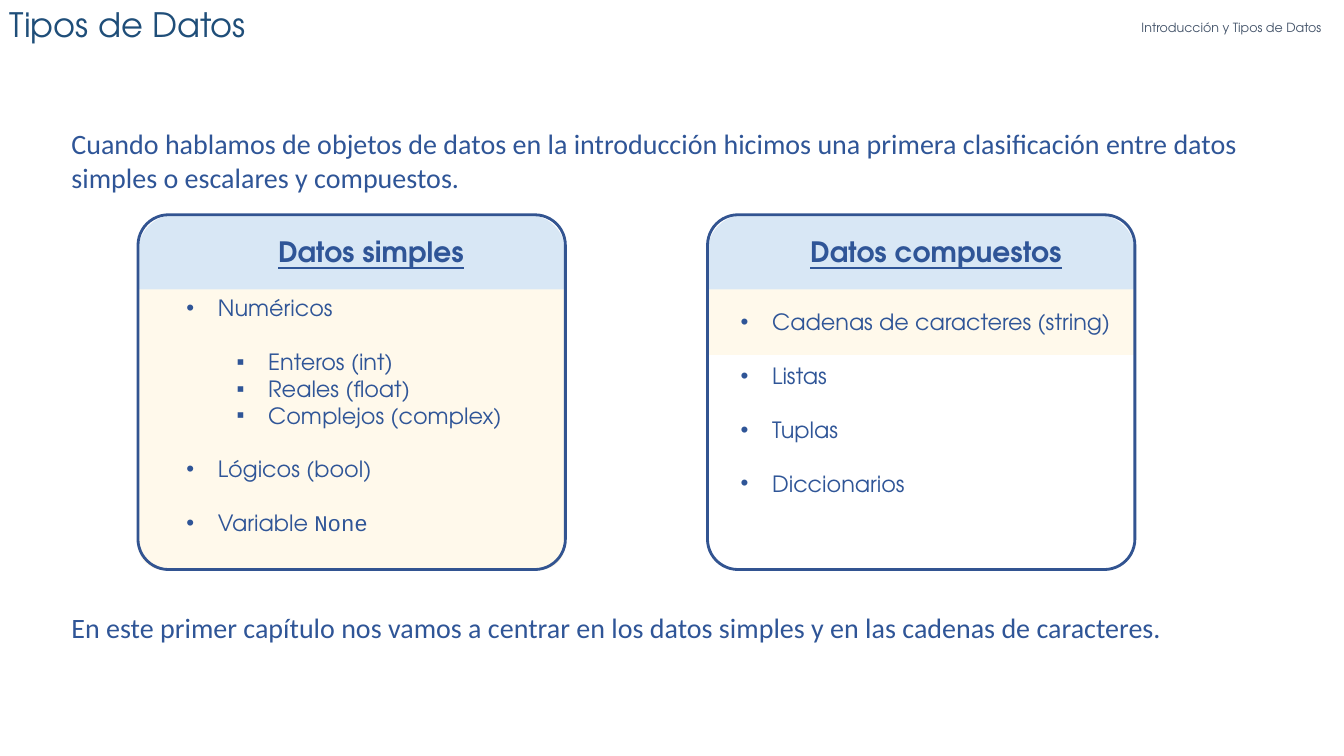
from lxml import etree
from pptx import Presentation
from pptx import util as u
from pptx.dml.color import RGBColor
from pptx.enum import shapes, text
from pptx.oxml.ns import qn

Pt = u.Pt
SANS, BODY, CODE = "TeX Gyre Adventor", "Calibri", "Courier New"
BLUE = "2F5597"
GAP = 19.2  # one empty line at 16 pt


def rgb(value):
    return RGBColor.from_string(value)


def style(r, size, font, color, bold=False, underline=False):
    r.font.size, r.font.name = Pt(size), font
    r.font.color.rgb = rgb(color)
    if bold:
        r.font.bold = True
    if underline:
        r.font.underline = True


def add_text(slide, box, wrap=True):
    sp = slide.shapes.add_textbox(*map(Pt, box))
    tf = sp.text_frame
    tf.word_wrap = wrap
    return tf


def add_line(slide, box, words, size, font, color, wrap=True, **marks):
    p = add_text(slide, box, wrap).paragraphs[0]
    p.text = words
    style(p.runs[0], size, font, color, **marks)
    return p


def add_panel(slide, box, color, top_round, bottom_round):
    sp = slide.shapes.add_shape(shapes.MSO_SHAPE.ROUND_2_SAME_RECTANGLE, *map(Pt, box))
    sp.shadow.inherit = False
    sp.adjustments[0], sp.adjustments[1] = top_round, bottom_round
    sp.fill.solid()
    sp.fill.fore_color.rgb = rgb(color)
    sp.line.fill.background()
    clr = sp._element.spPr.find(qn("a:solidFill"))[0]
    etree.SubElement(clr, qn("a:alpha"), val="39000")


def add_outline(slide, box):
    sp = slide.shapes.add_shape(shapes.MSO_SHAPE.ROUNDED_RECTANGLE, *map(Pt, box))
    sp.shadow.inherit = False
    sp.adjustments[0] = 0.086
    sp.fill.background()
    sp.line.color.rgb = rgb("325491")
    sp.line.width = Pt(2)


def set_bullet(p, level):
    pPr = p._p.get_or_add_pPr()
    pPr.set("marL", str(Pt(22.5 + 36 * level)))
    pPr.set("indent", str(-Pt(22.5)))
    etree.SubElement(pPr, qn("a:buFont"), typeface="Arial")
    etree.SubElement(pPr, qn("a:buChar"), char="•▪"[level])


def add_list(slide, box, items):
    """Each item: (level, gap before, words, code words)."""
    tf = add_text(slide, box)
    for i, (level, gap, words, code) in enumerate(items):
        p = tf.paragraphs[0] if i == 0 else tf.add_paragraph()
        p.level = level
        if gap:
            p.space_before = Pt(gap)
        set_bullet(p, level)
        for part, font in ((words, SANS), (code, CODE)):
            if part:
                r = p.add_run()
                r.text = part
                style(r, 16, font, BLUE)


def add_card(slide, box, title, title_box, items, list_box, body_height, body_round):
    """title_box and list_box are offsets and sizes within the card."""
    x, y, w, h = box
    head = 53.3

    def inside(part):
        return (x + part[0], y + part[1], part[2], part[3])

    add_panel(slide, (x, y + head, w, body_height), "FFF2CC", 0, body_round)
    add_panel(slide, (x, y, w, head), "9DC3E6", 0.5, 0)
    add_list(slide, inside(list_box), items)
    add_line(slide, inside(title_box), title, 20, SANS, BLUE, wrap=False,
             bold=True, underline=True)
    add_outline(slide, box)


def add_header(slide, box):
    x, y, w = box
    add_line(slide, (x, y - 0.7, 188.6, 36), "Tipos de Datos", 24, SANS, "1F4E79", wrap=False)
    p = add_line(slide, (x + w - 185.2, y + 12.2, 209.5, 20.9),
                 "Introducción y Tipos de Datos", 9, SANS, "44546A")
    p.alignment = text.PP_ALIGN.CENTER
    p.line_spacing = 0.9


def main():
    prs = Presentation()
    prs.slide_width, prs.slide_height = Pt(960), Pt(540)
    slide = prs.slides.add_slide(prs.slide_layouts[6])

    # Header
    add_header(slide, (0, 0, 960))

    # Introduction
    add_line(slide, (43.9, 87.1, 869.8, 55.4),
             "Cuando hablamos de objetos de datos en la introducción hicimos una "
             "primera clasificación entre datos simples o escalares y compuestos.",
             20, BODY, BLUE)

    # Simple data
    simple = [(0, 0, "Numéricos", ""),
              (1, GAP, "Enteros (int)", ""),
              (1, 0, "Reales (float)", ""),
              (1, 0, "Complejos (complex)", ""),
              (0, GAP, "Lógicos (bool)", ""),
              (0, GAP, "Variable ", "None")]
    add_card(slide, (98.6, 153.4, 305.3, 253.4), "Datos simples", (92.9, 10.8, 151.9, 31.7),
             simple, (27.4, 53.3, 265.7, 181.4), 200.5, 0.09)

    # Compound data
    compound = [(0, GAP if i else 0, words, "") for i, words in enumerate(
        ("Cadenas de caracteres (string)", "Listas", "Tuplas", "Diccionarios"))]
    add_card(slide, (505.4, 153.4, 305.3, 253.4), "Datos compuestos", (66.3, 10.8, 197.3, 31.7),
             compound, (16.6, 63.4, 295.9, 143.3), 46.8, 0)

    # Closing remark
    add_line(slide, (43.9, 432.7, 869.8, 31.7),
             "En este primer capítulo nos vamos a centrar en los datos simples y en "
             "las cadenas de caracteres.", 20, BODY, BLUE)

    prs.save("out.pptx")


if __name__ == "__main__":
    main()
